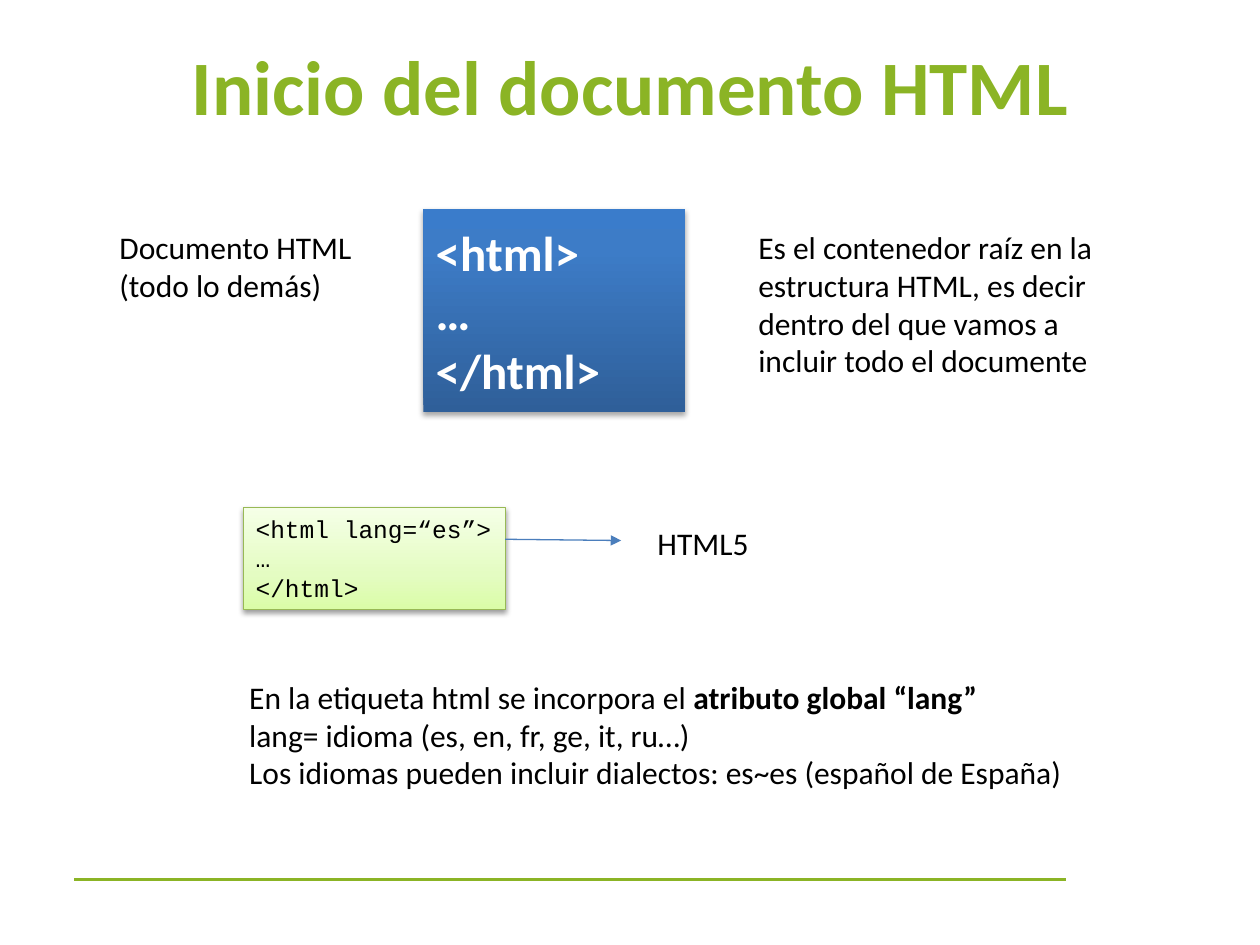
from dataclasses import dataclass

from lxml import etree
from pptx import Presentation
from pptx.dml.color import RGBColor
from pptx.enum.shapes import MSO_CONNECTOR as Connector, MSO_SHAPE as Preset
from pptx.enum.text import MSO_ANCHOR as Anchor, PP_ALIGN as Align
from pptx.oxml.ns import qn
from pptx.util import Inches, Pt

COLORS = {
    "green": "8BB425", "text": "000000", "white": "FFFFFF",
    "arrow": "4B7EBC", "code_border": "98B955", "shadow": "000000",
}
BLUE_STOPS = ((0, "2F5F99"), (80, "3D7CC7"), (100, "3A7CCB"))
LIME_STOPS = ((0, "DAFDA7"), (35, "E4FCC2"), (100, "F5FFE7"))


@dataclass
class Area:
    left: float
    top: float
    width: float
    height: float

    def lengths(self) -> list:
        return [Inches(v) for v in (self.left, self.top, self.width, self.height)]


@dataclass
class Note:
    area: Area
    paragraphs: list
    wrap: bool = True


def write(shape, paragraphs, size=18, font="Calibri", color="text", bold=False,
          align=Align.LEFT, anchor=Anchor.TOP, wrap=True) -> None:
    """Each paragraph is a string or a list of (text, bold) pairs."""
    frame = shape.text_frame
    frame.word_wrap = wrap
    frame.vertical_anchor = anchor
    for index, content in enumerate(paragraphs):
        para = frame.paragraphs[0] if index == 0 else frame.add_paragraph()
        para.alignment = align
        pieces = [(content, bold)] if isinstance(content, str) else content
        for text, strong in pieces:
            for number, line in enumerate(text.split("\n")):
                if number:
                    para.add_line_break()
                if not line:
                    continue
                span = para.add_run()
                span.text = line
                span.font.size, span.font.name, span.font.bold = Pt(size), font, strong
                span.font.color.rgb = RGBColor.from_string(COLORS[color])


def add_text(page, area: Area, paragraphs: list, **style) -> None:
    write(page.shapes.add_textbox(*area.lengths()), paragraphs, **style)


def add_color(parent, color: str):
    return etree.SubElement(parent, qn("a:srgbClr"), val=color)


def add_code_panel(page, area: Area, paragraphs: list, stops: tuple,
                   shadow_alpha: int, border: str = "", **style) -> None:
    box = page.shapes.add_shape(Preset.RECTANGLE, *area.lengths())
    # Gradient running from bottom to top
    box.fill.gradient()
    box.fill.gradient_angle = 90
    stop_list = box._element.spPr.find(".//" + qn("a:gsLst"))
    for old in list(stop_list):
        stop_list.remove(old)
    for position, color in stops:
        add_color(etree.SubElement(stop_list, qn("a:gs"), pos=str(position * 1000)), color)
    if border:
        box.line.color.rgb = RGBColor.from_string(COLORS[border])
        box.line.width = Pt(0.75)
    else:
        box.line.fill.background()
    # Soft shadow straight below
    box.shadow.inherit = False
    effects = box._element.spPr.find(qn("a:effectLst"))
    shadow = etree.SubElement(effects, qn("a:outerShdw"), blurRad=str(Pt(3.1)),
                              dist=str(Pt(1.7)), dir="5400000", rotWithShape="0")
    etree.SubElement(add_color(shadow, COLORS["shadow"]), qn("a:alpha"),
                     val=str(shadow_alpha * 1000))
    write(box, paragraphs, **style)


def add_line(page, start: tuple, end: tuple, color: str, width: float,
             arrow: bool = False) -> None:
    line = page.shapes.add_connector(Connector.STRAIGHT, *map(Inches, start + end))
    line.line.color.rgb = RGBColor.from_string(COLORS[color])
    line.line.width = Pt(width)
    if arrow:
        etree.SubElement(line.line._get_or_add_ln(), qn("a:tailEnd"), type="triangle")
    etree.SubElement(line._element.spPr, qn("a:effectLst"))


NOTES = [
    Note(Area(0.85, 1.76, 2.04, 0.71), ["Documento HTML\n(todo lo demás)"], wrap=False),
    Note(Area(5.92, 1.76, 3.1, 1.31),
         ["Es el contenedor raíz en la estructura HTML, es decir dentro del que "
          "vamos a incluir todo el documente"]),
    Note(Area(5.12, 4.11, 0.93, 0.4), ["HTML5"], wrap=False),
    Note(Area(1.88, 5.33, 6.73, 1.01),
         [[("En la etiqueta html se incorpora el ", False),
           ("atributo global “lang”\n", True),
           ("lang= idioma (es, en, fr, ge, it, ru…)", False)],
          "Los idiomas pueden incluir dialectos: es~es (español de España)"]),
]


def main() -> None:
    deck = Presentation()
    deck.slide_width, deck.slide_height = Inches(10), Inches(7.5)
    page = deck.slides.add_slide(deck.slide_layouts[6])

    # Footer rule and title
    add_line(page, (0.59, 6.98), (8.46, 6.98), "green", 2.25)
    add_text(page, Area(0.36, 0.14, 9.29, 1.06), ["Inicio del documento HTML"], size=44,
             color="green", bold=True, align=Align.CENTER, anchor=Anchor.MIDDLE)

    # Code panels, with the arrow to the HTML5 label
    add_code_panel(page, Area(3.36, 1.66, 2.08, 1.61), ["<html>", "…", "</html>"],
                   BLUE_STOPS, 35, size=28, color="white", bold=True,
                   anchor=Anchor.MIDDLE)
    add_code_panel(page, Area(1.93, 4.03, 2.08, 0.81), ["<html lang=“es”> …", "</html>"],
                   LIME_STOPS, 38, border="code_border", size=14, font="Courier New")
    add_line(page, (4.01, 4.28), (4.93, 4.29), "arrow", 0.75, arrow=True)

    # Explanations
    for note in NOTES:
        add_text(page, note.area, note.paragraphs, wrap=note.wrap)

    deck.save("out.pptx")


if __name__ == "__main__":
    main()
